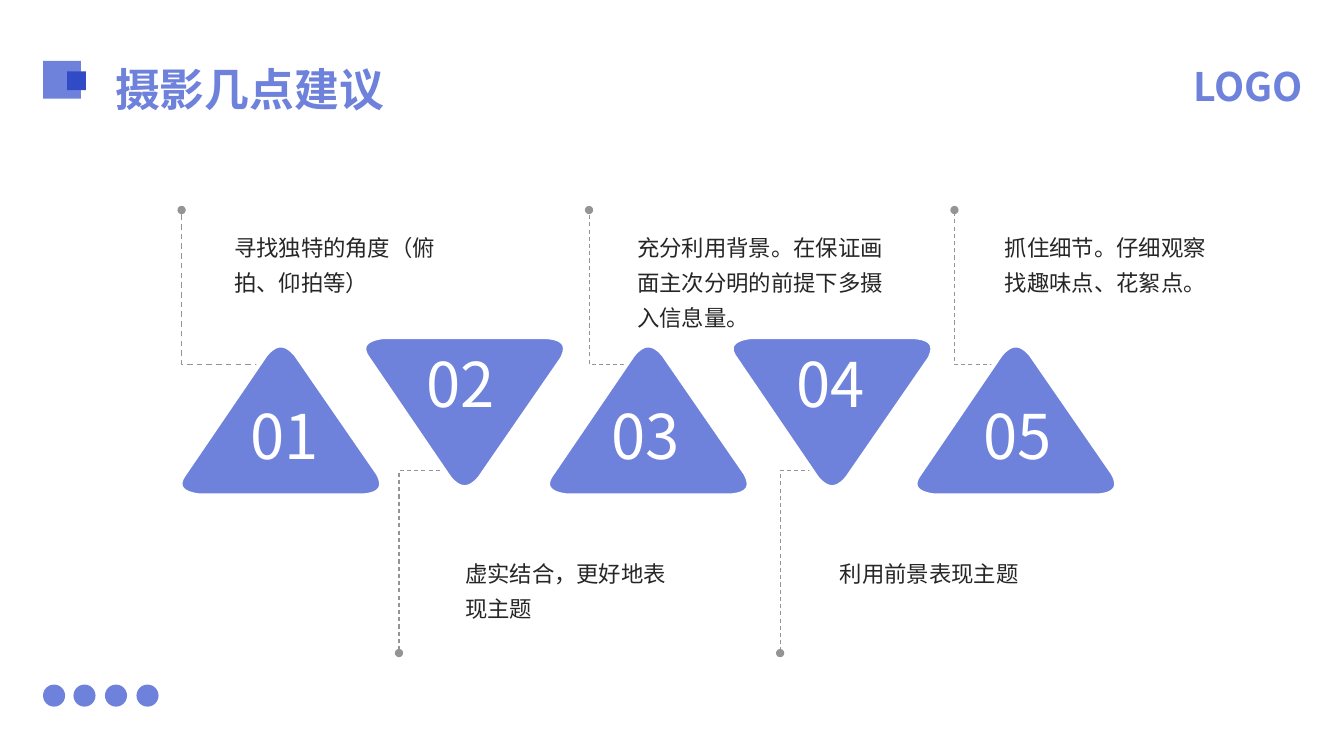
from dataclasses import dataclass

from lxml.etree import SubElement
from pptx import Presentation
from pptx.dml.color import RGBColor as RGB
from pptx.enum.dml import MSO_LINE
from pptx.enum.shapes import MSO_SHAPE as SHAPE
from pptx.enum.text import MSO_ANCHOR as ANCHOR, MSO_AUTO_SIZE as FIT, PP_ALIGN as ALIGN
from pptx.oxml.ns import qn
from pptx.util import Pt


@dataclass(frozen=True)
class Theme:
    font: str = "Noto Sans CJK SC"
    accent: RGB = RGB.from_string("6E81DB")
    deep: RGB = RGB.from_string("314BC6")
    ink: RGB = RGB.from_string("262626")
    guide: RGB = RGB.from_string("949494")
    white: RGB = RGB.from_string("FFFFFF")
    title: int = 32
    logo: int = 28
    number: int = 44
    body: int = 16


THEME = Theme()
PX = 9525


def write(box, left, top, width, height, text, size, color, bold=False, spacing=1.3):
    box.left, box.top, box.width, box.height = (v * PX for v in (left, top, width, height))
    frame = box.text_frame
    frame.text = text
    frame.word_wrap = True
    para = frame.paragraphs[0]
    para.alignment = ALIGN.LEFT
    para.line_spacing = spacing
    span = para.runs[0]
    span.font.name = THEME.font
    span.font.size = Pt(size)
    span.font.bold = bold
    span.font.color.rgb = color
    SubElement(span.font._element, qn("a:ea"), typeface=THEME.font)
    return frame


def trace(shapes, points, close):
    emu = [(round(x * PX), round(y * PX)) for x, y in points]
    builder = shapes.build_freeform(*emu[0])
    builder.add_line_segments(emu[1:], close=close)
    outline = builder.convert_to_shape()
    outline.shadow.inherit = False
    return outline


deck = Presentation()
deck.slide_width, deck.slide_height = 1280 * PX, 720 * PX
page = deck.slides.add_slide(deck.slide_layouts[5])

ICON_LEFTS = (41, 70, 100, 130)
marks = [
    (SHAPE.RECTANGLE, 41, 58, 36, THEME.accent),
    (SHAPE.RECTANGLE, 64, 68, 18, THEME.deep),
] + [(SHAPE.OVAL, left, 652, 21, THEME.accent) for left in ICON_LEFTS]
for kind, left, top, side, color in marks:
    mark = page.shapes.add_shape(kind, left * PX, top * PX, side * PX, side * PX)
    mark.shadow.inherit = False
    mark.fill.solid()
    mark.fill.fore_color.rgb = color
    mark.line.fill.background()

logo = page.shapes.add_textbox(0, 0, 0, 0)
write(logo, 1127, 41, 130, 37, "LOGO", THEME.logo, THEME.accent, True)
title = write(page.shapes.title, 100, 7, 1104, 139, "摄影几点建议", THEME.title, THEME.accent, True)
title.auto_size = FIT.NONE
title.vertical_anchor = ANCHOR.MIDDLE

# tip: text, caption left, caption width, number left, guide start, guide corner, guide weight
TIPS = [
    ("寻找独特的角度（俯拍、仰拍等）", 223, 192, 229, 261, 173, 1),
    ("虚实结合，更好地表现主题", 443, 192, 397, 443, 380, 0.75),
    ("充分利用背景。在保证画面主次分明的前提下多摄入信息量。", 607, 235, 573, 612, 561, 0.75),
    ("利用前景表现主题", 800, 192, 749, 791, 743, 0.75),
    ("抓住细节。仔细观察找趣味点、花絮点。", 957, 192, 927, 964, 909, 0.75),
]

for index, (_, _, _, _, start, corner, weight) in enumerate(TIPS):
    near, far = (448, 622) if index % 2 else (347, 200)
    guide = trace(page.shapes, [(start, near), (corner, near), (corner, far)], False)
    guide.fill.background()
    guide.line.color.rgb = THEME.guide
    guide.line.width = Pt(weight)
    guide.line.dash_style = MSO_LINE.DASH
    for end in ("a:headEnd", "a:tailEnd"):
        SubElement(guide.line._ln, qn(end), type="oval")

TRIANGLE_LEFT, TRIANGLE_STEP, TRIANGLE_HEIGHT = 167, 175, 146
CURVE_STEPS = 16
CORNERS = [
    ((193, 125), (200, 138), (195, 145), (178, 146)),
    ((23, 146), (6, 144), (0, 137), (9, 125)),
    ((86, 12), (96, 0), (105, 0), (115, 12)),
]
triangle = []
for corner in CORNERS:
    for step in range(CURVE_STEPS + 1):
        t = step / CURVE_STEPS
        weights = ((1 - t) ** 3, 3 * t * (1 - t) ** 2, 3 * t * t * (1 - t), t ** 3)
        triangle.append([sum(w * p[axis] for w, p in zip(weights, corner)) for axis in (0, 1)])

for index, (_, _, _, number_left, _, _, _) in enumerate(TIPS):
    down = index % 2
    left = TRIANGLE_LEFT + index * TRIANGLE_STEP
    top, number_top = (321, 325) if down else (326, 374)
    points = [(left + x, top + (TRIANGLE_HEIGHT - y if down else y)) for x, y in triangle]
    group = page.shapes.add_group_shape()
    badge = trace(group.shapes, points, True)
    badge.fill.solid()
    badge.fill.fore_color.rgb = THEME.accent
    badge.line.color.rgb = THEME.white
    badge.line.width = Pt(3)
    number = group.shapes.add_textbox(0, 0, 0, 0)
    frame = write(number, number_left, number_top, 88, 81, f"{index + 1:02}", THEME.number, THEME.white, spacing=1.0)
    frame.word_wrap = False
    frame.auto_size = FIT.SHAPE_TO_FIT_TEXT
    group._element.recalculate_extents()

for index, (text, left, width, _, _, _, _) in enumerate(TIPS):
    caption = page.shapes.add_textbox(0, 0, 0, 0)
    frame = write(caption, left, 526 if index % 2 else 215, width, 84, text, THEME.body, THEME.ink)
    frame.margin_left = frame.margin_right = frame.margin_top = frame.margin_bottom = 0

deck.save("out.pptx")
